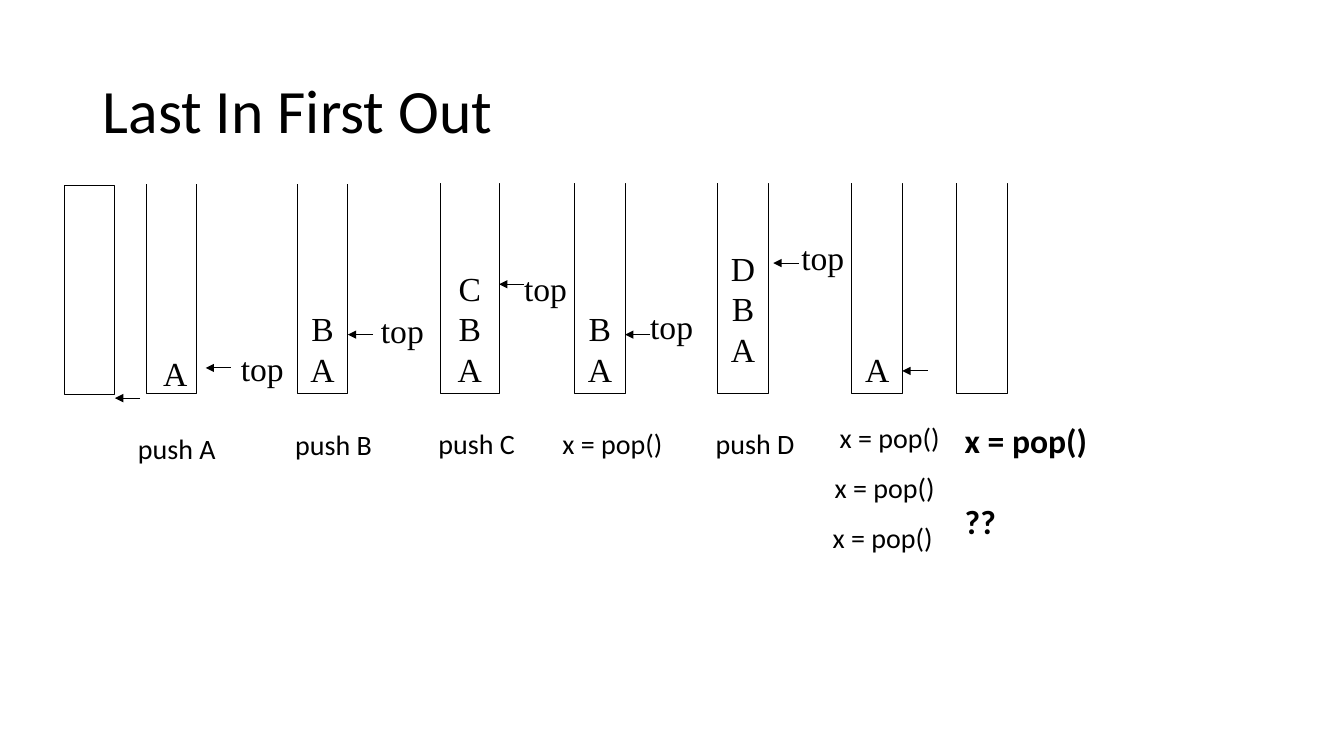
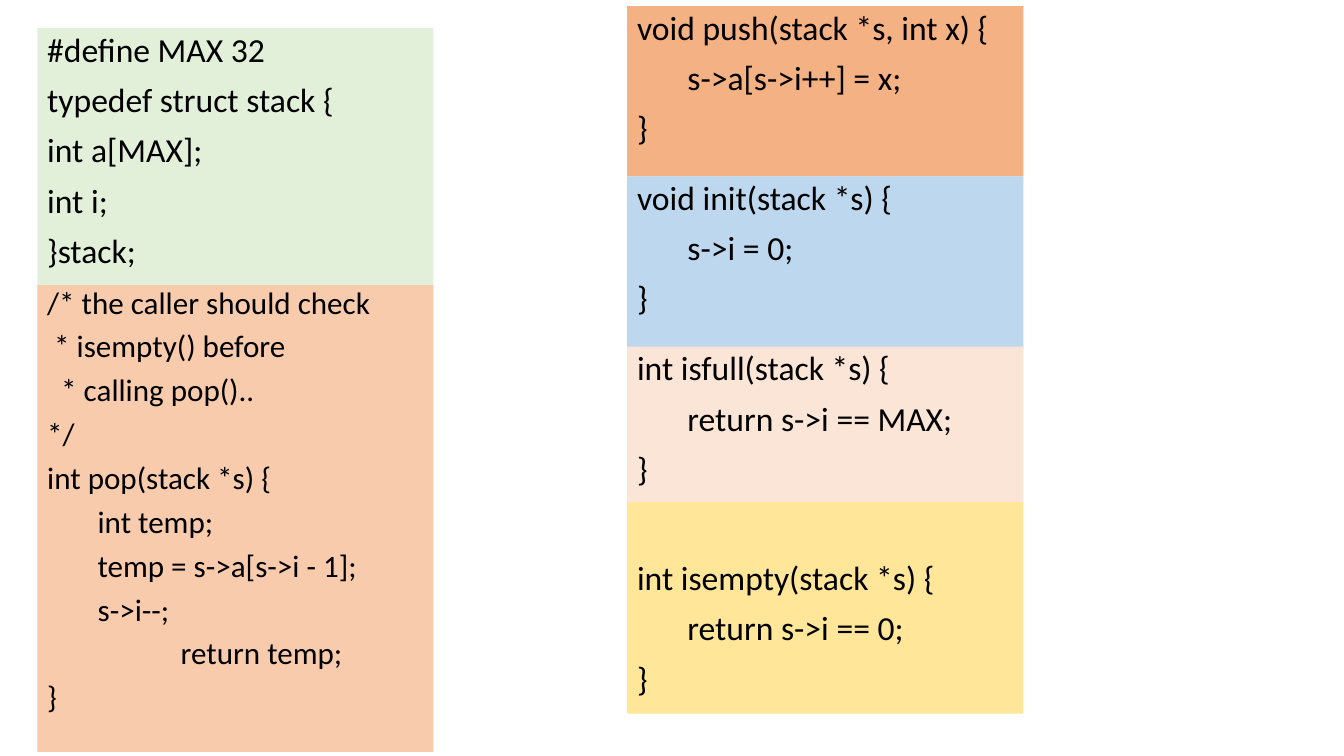
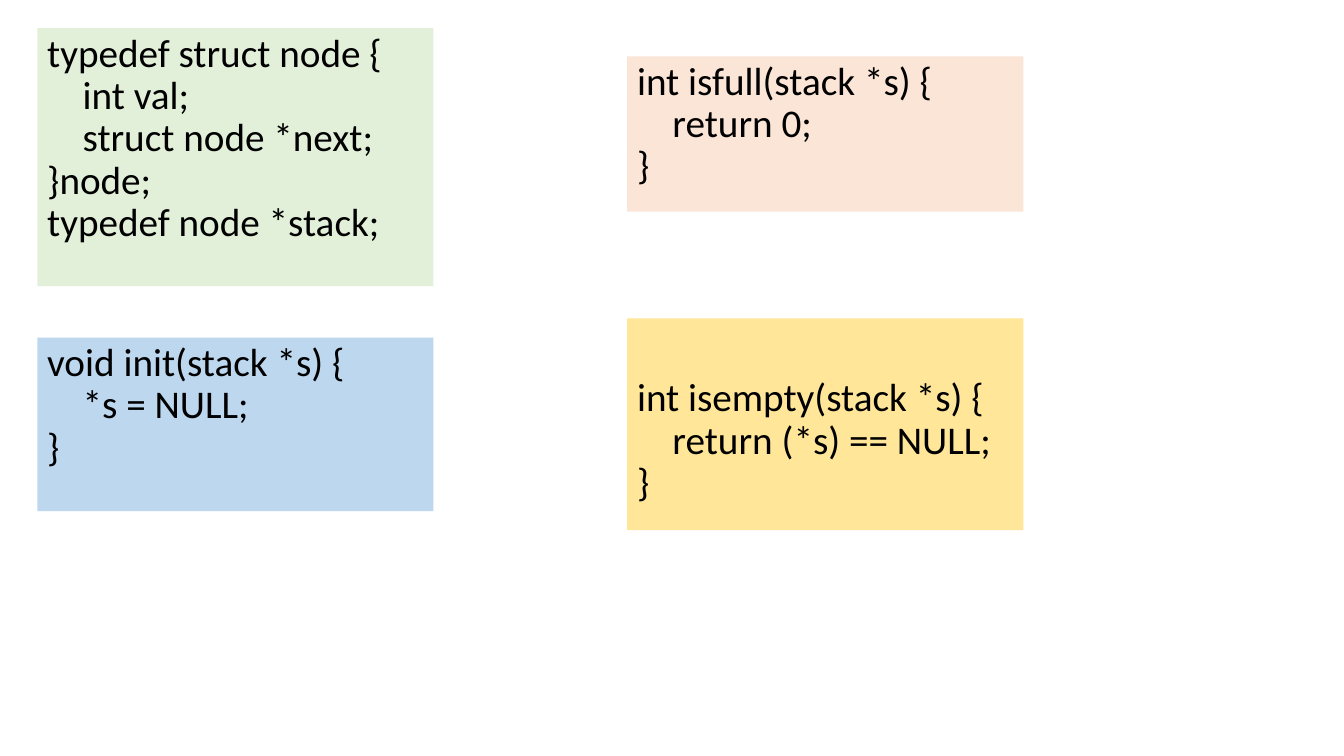
from dataclasses import dataclass

from lxml import etree
from pptx import Presentation
from pptx import util as u
from pptx.dml.color import RGBColor
from pptx.enum import shapes, text
from pptx.oxml import ns


@dataclass(frozen=True)
class Theme:
    """Colours, fonts and type sizes shared by the slides."""
    ink: str = "000000"
    paper: str = "FFFFFF"
    green: str = "E2F0D9"
    orange: str = "F4B183"
    blue: str = "BDD7EE"
    pink: str = "FBE5D6"
    yellow: str = "FFE699"
    peach: str = "F8CBAD"
    sans: str = "Calibri"
    serif: str = "Times New Roman"
    title: float = 44
    large: float = 28
    code: float = 24
    dense: float = 22.2
    label: float = 20
    rule: float = 0.75


class Deck:
    """Holds the theme and the current slide and draws each kind of element."""

    def __init__(self, prs, theme):
        self.prs, self.t, self.s = prs, theme, None

    def slide(self):
        self.s = self.prs.slides.add_slide(self.prs.slide_layouts[6])

    def set_text(self, sp, lines, size, font=None, bold=False, align=text.PP_ALIGN.LEFT,
                 spacing=None, gap=0, wrap=True, anchor=text.MSO_ANCHOR.TOP):
        tf = sp.text_frame
        tf.word_wrap = wrap
        tf.vertical_anchor = anchor
        for i, line in enumerate(lines):
            p = tf.add_paragraph() if i else tf.paragraphs[0]
            p.alignment = align
            p.space_before = u.Pt(gap if i else 0)
            if spacing:
                p.line_spacing = spacing
            r = p.add_run()
            r.text = line
            r.font.size = u.Pt(size)
            r.font.name = font or self.t.sans
            r.font.bold = bold
            r.font.color.rgb = RGBColor.from_string(self.t.ink)
        return tf

    def label(self, x, y, w, h, lines, size, **style):
        sp = self.s.shapes.add_textbox(*map(u.Inches, (x, y, w, h)))
        self.set_text(sp, lines, size, **style)

    def title(self, line):
        self.label(0.92, 0.4, 11.5, 1.45, [line], self.t.title,
                   spacing=0.9, anchor=text.MSO_ANCHOR.MIDDLE)

    def rect(self, x, y, w, h):
        sp = self.s.shapes.add_shape(shapes.MSO_SHAPE.RECTANGLE, *map(u.Inches, (x, y, w, h)))
        sp.shadow.inherit = False
        return sp

    def code(self, x, y, h, fill, source, size, spacing=0.9, gap=10, top=0.05):
        sp = self.rect(x, y, 3.93, h)
        sp.fill.solid()
        sp.fill.fore_color.rgb = RGBColor.from_string(fill)
        sp.line.fill.background()
        tf = self.set_text(sp, source.split("\n"), size, spacing=spacing, gap=gap)
        tf.margin_top = u.Inches(top)

    def line(self, x1, y1, x2, y2, color, arrow=False):
        c = self.s.shapes.add_connector(shapes.MSO_CONNECTOR.STRAIGHT,
                                        *map(u.Inches, (x1, y1, x2, y2)))
        c.line.color.rgb = RGBColor.from_string(color)
        c.line.width = u.Pt(self.t.rule)
        pr = c._element.spPr
        if arrow:
            etree.SubElement(pr.find(ns.qn("a:ln")), ns.qn("a:tailEnd"), type="triangle")
        etree.SubElement(pr, ns.qn("a:effectLst"))

    def arrow(self, x, y):
        self.line(x + 0.25, y, x, y, self.t.ink, arrow=True)

    def stack(self, x, y=1.82, w=0.5, h=2.08, items="", floor=0.04, is_open=True):
        sp = self.rect(x, y, w, h)
        sp.fill.background()
        sp.line.color.rgb = RGBColor.from_string(self.t.ink)
        sp.line.width = u.Pt(self.t.rule)
        if items:
            tf = self.set_text(sp, items, self.t.code, font=self.t.serif, wrap=False,
                               align=text.PP_ALIGN.CENTER, spacing=u.Pt(29),
                               anchor=text.MSO_ANCHOR.BOTTOM)
            tf.margin_bottom = u.Inches(floor)
        if is_open:
            self.line(x, y, x + w, y, self.t.paper)


def lifo(d):
    """Stack contents after each push and pop."""
    t = d.t
    d.slide()
    d.title("Last In First Out")
    d.stack(0.64, y=1.84, h=2.07, is_open=False)
    d.stack(1.45)
    d.stack(2.95, items="BA")
    d.stack(4.37, w=0.58, items="CBA")
    d.stack(5.7, items="BA")
    d.stack(7.12, items="DBA", floor=0.24)
    d.stack(8.45, items="A")
    d.stack(9.49)
    d.line(9.49, 2.21, 9.99, 2.21, t.paper)
    for x, y in ((1.14, 3.95), (2.04, 3.65), (3.45, 3.32), (4.95, 2.82),
                 (6.2, 3.32), (7.67, 2.61), (8.95, 3.68)):
        d.arrow(x, y)
    d.label(1.52, 3.45, 0.44, 0.5, ["A"], t.code, font=t.serif, wrap=False)
    for x, y in ((2.29, 3.4), (3.68, 3.03), (5.1, 2.61), (6.35, 2.99), (7.85, 2.3)):
        d.label(x, y, 0.63, 0.5, ["top"], t.code, font=t.serif, wrap=False)
    for x, y, w, step in ((1.27, 4.23, 1.17, "push A"), (2.83, 4.19, 1.17, "push B"),
                          (4.25, 4.18, 1.17, "push C"), (5.48, 4.18, 1.39, "x = pop()"),
                          (7, 4.18, 1.17, "push D"), (8.23, 4.12, 1.2, "x = pop()"),
                          (8.18, 4.62, 1.32, "x = pop()"), (8.16, 5.11, 1.34, "x = pop()")):
        d.label(x, y, w, 0.44, [step], t.label)
    d.label(9.47, 4.12, 2.24, 1.31, ["x = pop()", "??"], t.code, bold=True, gap=29)


def array_stack(d):
    """Stack kept in an array."""
    t = d.t
    d.slide()
    d.code(0.37, 0.28, 2.56, t.green,
           "#define MAX 32\ntypedef struct stack {\nint a[MAX];\nint i;\n}stack;", t.code)
    d.code(6.22, 0.06, 1.69, t.orange,
           "void push(stack *s, int x) {\n\ts->a[s->i++] = x;\n}", t.code)
    d.code(6.22, 1.75, 1.72, t.blue, "void init(stack *s) {\n\ts->i = 0;\n}", t.code)
    d.code(6.22, 4.98, 2.1, t.yellow,
           "int isempty(stack *s) {\n\treturn s->i == 0;\n}", t.code, top=0.59)
    d.code(6.22, 3.44, 1.54, t.pink,
           "int isfull(stack *s) {\n\treturn s->i == MAX;\n}", t.code)
    d.code(0.37, 2.83, 4.63, t.peach,
           "/* the caller should check\n * isempty() before\n  * calling pop()..\n*/\n"
           "int pop(stack *s) {\n\tint temp;\n\ttemp = s->a[s->i - 1];\n\ts->i--;\n"
           "                   return temp;\n}", t.dense, spacing=0.8)


def linked_stack(d):
    """Stack kept in a linked list."""
    t = d.t
    d.slide()
    for x, y, h, fill, top, source in (
            (0.37, 0.28, 2.56, t.green, 0.05,
             "typedef struct node {\n    int val;\n    struct node *next;\n}node;\n"
             "typedef node *stack;"),
            (0.37, 3.35, 1.72, t.blue, 0.05, "void init(stack *s) {\n    *s = NULL;\n}"),
            (6.22, 3.16, 2.1, t.yellow, 0.59,
             "int isempty(stack *s) {\n    return (*s) == NULL;\n}"),
            (6.22, 0.56, 1.54, t.pink, 0.05, "int isfull(stack *s) {\n    return 0;\n}")):
        d.code(x, y, h, fill, source, t.large, gap=0, top=top)


def main():
    """Build and save the deck."""
    prs = Presentation()
    prs.slide_width, prs.slide_height = u.Inches(13.33), u.Inches(7.5)
    d = Deck(prs, Theme())
    lifo(d)
    array_stack(d)
    linked_stack(d)
    prs.save("out.pptx")


if __name__ == "__main__":
    main()
